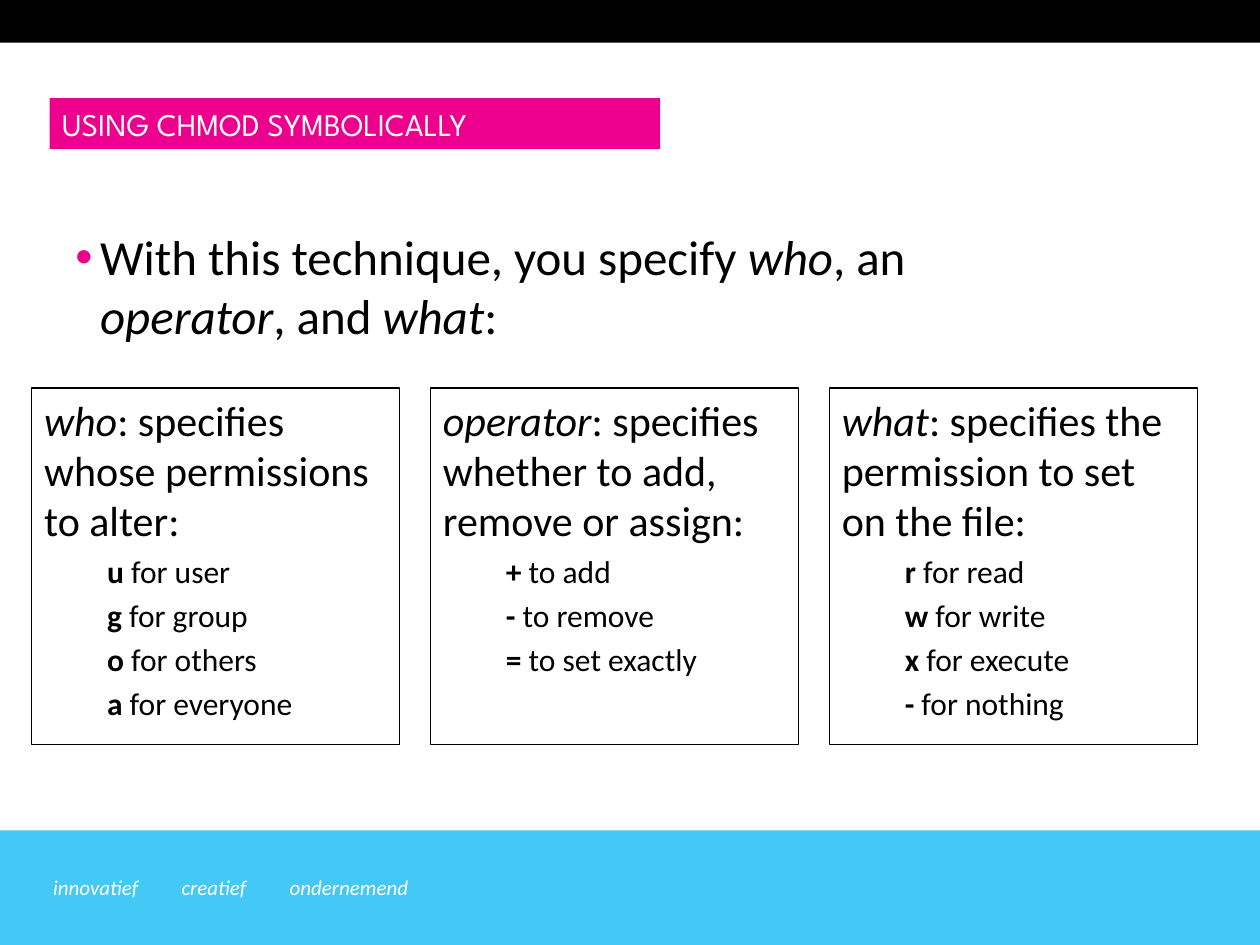
from pptx import Presentation
from pptx.dml.color import RGBColor
from pptx.enum.shapes import MSO_SHAPE
from pptx.enum.text import MSO_ANCHOR, MSO_AUTO_SIZE, PP_ALIGN
from pptx.oxml import parse_xml
from pptx.oxml.ns import nsdecls
from pptx.util import Cm, Pt

PINK, BLUE, BLACK, WHITE = "ED008D", "44C8F5", "000000", "FFFFFF"


def rgb(color):
    return RGBColor.from_string(color)


def indent(p, left, first):
    pPr = p._p.get_or_add_pPr()
    pPr.set("marL", str(Cm(left)))
    pPr.set("indent", str(Cm(first)))
    return pPr


class Deck:
    """Holds the fonts and the slide being built."""
    body_font, title_font = "Calibri", "League Spartan"

    def __init__(self, prs):
        self.s = prs.slides.add_slide(prs.slide_layouts[5])

    def style(self, r, size, color=BLACK, font=None, bold=False, italic=False):
        f = r.font
        f.name, f.size, f.bold, f.italic = font or self.body_font, Pt(size), bold, italic
        f.color.rgb = rgb(color)

    def runs(self, p, parts, size, mark):
        """Write parts as runs; every part found in mark's list gets its emphasis."""
        emphasis, marked = mark
        for text in parts:
            r = p.add_run()
            r.text = text
            self.style(r, size, **{emphasis: text in marked})

    def rect(self, x, y, w, h, fill=None, line=None):
        sp = self.s.shapes.add_shape(MSO_SHAPE.RECTANGLE, Cm(x), Cm(y), Cm(w), Cm(h))
        sp.shadow.inherit = False
        if fill:
            sp.fill.solid()
            sp.fill.fore_color.rgb = rgb(fill)
        else:
            sp.fill.background()
        if line:
            sp.line.color.rgb = rgb(line)
            sp.line.width = Pt(0.75)
        else:
            sp.line.fill.background()
        return sp

    def title(self, text, x, y, w, h):
        sp = self.s.shapes.title
        sp.left, sp.top, sp.width, sp.height = Cm(x), Cm(y), Cm(w), Cm(h)
        sp.fill.solid()
        sp.fill.fore_color.rgb = rgb(PINK)
        tf = sp.text_frame
        tf.text = text
        tf.auto_size = MSO_AUTO_SIZE.NONE
        tf.vertical_anchor = MSO_ANCHOR.MIDDLE
        p = tf.paragraphs[0]
        p.alignment = PP_ALIGN.LEFT
        self.style(p.runs[0], 18, WHITE, self.title_font)

    def text_box(self, x, y, w, h, wrap=True):
        tf = self.s.shapes.add_textbox(Cm(x), Cm(y), Cm(w), Cm(h)).text_frame
        tf.word_wrap = wrap
        return tf

    def footer_word(self, text, x, w):
        tf = self.text_box(x, 17.5, w, 0.76, wrap=False)
        tf.margin_left = 0
        tf.text = text
        self.style(tf.paragraphs[0].runs[0], 12, WHITE, italic=True)

    def bullet(self, parts, italics, x, y, w, h):
        p = self.text_box(x, y, w, h).paragraphs[0]
        p.space_before = Pt(18)
        pPr = indent(p, 0.5, -0.5)
        pPr.append(parse_xml(f'<a:buClr {nsdecls("a")}><a:srgbClr val="{PINK}"/></a:buClr>'))
        pPr.append(parse_xml(f'<a:buFont {nsdecls("a")} typeface="Arial"/>'))
        pPr.append(parse_xml(f'<a:buChar {nsdecls("a")} char="•"/>'))
        self.runs(p, parts, 28, ("italic", italics))

    def card(self, term, meaning, options, x, y, w, h):
        tf = self.rect(x, y, w, h, line=BLACK).text_frame
        tf.word_wrap = True
        tf.vertical_anchor = MSO_ANCHOR.TOP
        p = tf.paragraphs[0]
        p.alignment = PP_ALIGN.LEFT
        p.space_before = Pt(4.8)
        self.runs(p, [term, f": {meaning}"], 24, ("italic", [term]))
        for symbol, use in options:
            p = tf.add_paragraph()
            p.level = 1
            p.alignment = PP_ALIGN.LEFT
            p.space_before = Pt(3.6)
            indent(p, 2.06, -0.79)
            self.runs(p, [symbol, f" {use}"], 18, ("bold", [symbol]))


CARDS = [
    ("who", "specifies whose permissions to alter:",
     [("u", "for user"), ("g", "for group"), ("o", "for others"), ("a", "for everyone")]),
    ("operator", "specifies whether to add, remove or assign:",
     [("+", "to add"), ("-", "to remove"), ("=", "to set exactly")]),
    ("what", "specifies the permission to set on the file:",
     [("r", "for read"), ("w", "for write"), ("x", "for execute"), ("-", "for nothing")]),
]
FOOTER = [("innovatief", 1.07, 1.98), ("creatief", 3.66, 1.57), ("ondernemend", 5.84, 2.67)]


def main():
    prs = Presentation()
    prs.slide_width, prs.slide_height = Cm(25.4), Cm(19.05)
    deck = Deck(prs)
    deck.rect(0, 16.74, 25.4, 2.31, fill=BLUE)
    deck.rect(0, 0, 25.4, 0.86, fill=BLACK)
    for word, x, w in FOOTER:
        deck.footer_word(word, x, w)
    deck.title("USING CHMOD SYMBOLICALLY", 1, 1.98, 12.31, 1.02)
    deck.bullet(["With this technique, you specify ", "who", ", an ", "operator", ", and ", "what", ":"],
                ["who", "operator", "what"], 1.27, 4.45, 20.96, 3.18)
    for i, (term, meaning, options) in enumerate(CARDS):
        deck.card(term, meaning, options, 0.64 + i * 8.04, 7.82, 7.42, 7.19)
    prs.save("out.pptx")


if __name__ == "__main__":
    main()
